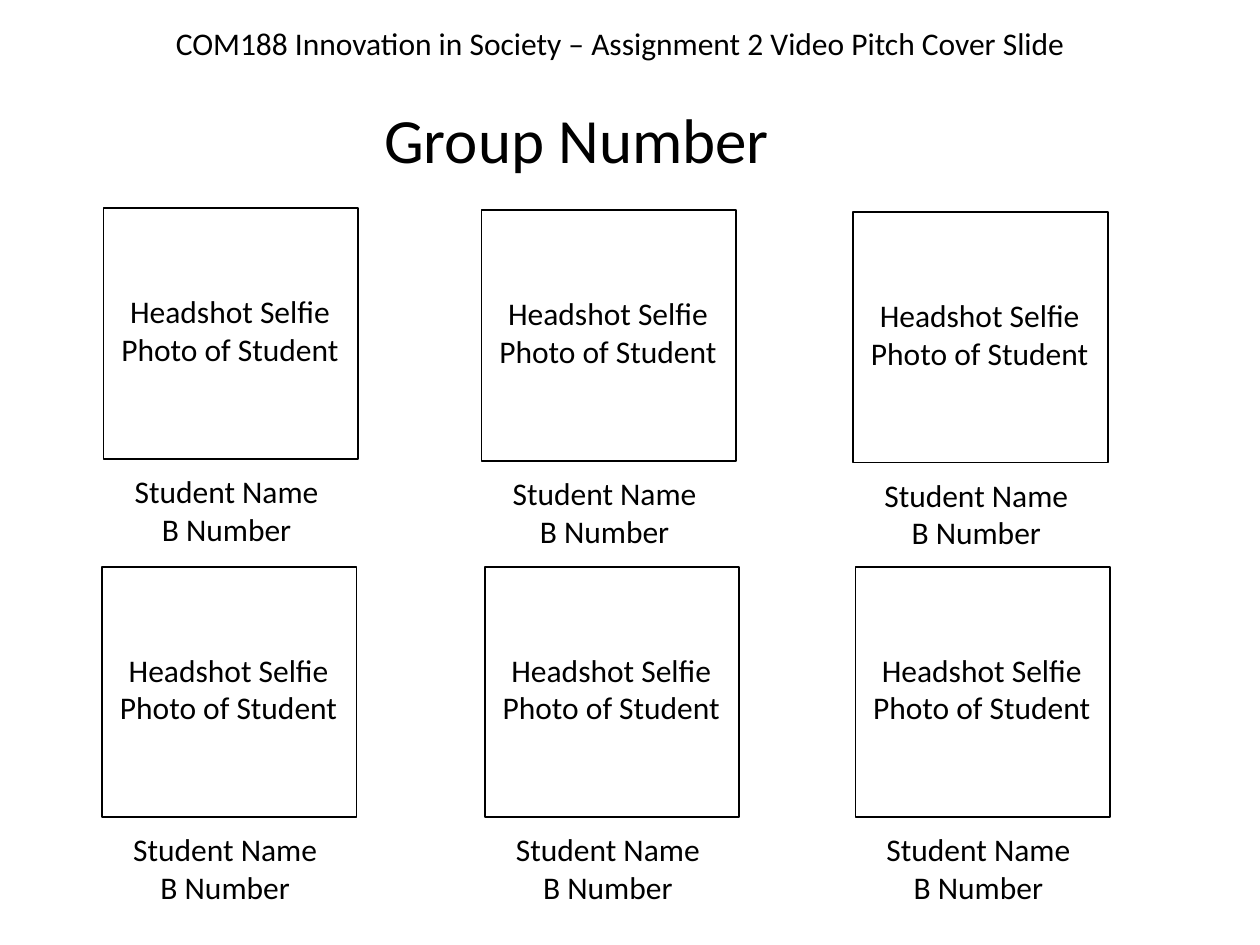
"""Build the video pitch cover slide with six student cards."""
from dataclasses import dataclass
from typing import Any

import pptx
import pptx.dml.color
import pptx.enum.shapes
import pptx.enum.text
import pptx.util

Pt = pptx.util.Pt
Align = pptx.enum.text.PP_ALIGN


@dataclass(frozen=True)
class Theme:
    font: str = "Calibri"
    ink: pptx.dml.color.RGBColor = pptx.dml.color.RGBColor(0, 0, 0)
    head: float = 36
    body: float = 18
    line: float = 1


@dataclass(frozen=True)
class Box:
    left: float
    top: float
    width: float
    height: float

    def inset(self, right: float, down: float, width: float, height: float) -> "Box":
        return Box(self.left + right, self.top + down, width, height)

    def pts(self) -> tuple:
        return Pt(self.left), Pt(self.top), Pt(self.width), Pt(self.height)


THEME = Theme()
SIDE, TALL = 145.4, 143.3
PHOTO = ("Headshot Selfie", "Photo of Student")
NAME = ("Student Name", "B Number")
CARDS = [
    Box(left, top, SIDE, TALL)
    for left, top in (
        (59.2, 118.9), (275.2, 120), (487.6, 121),
        (58.4, 323.8), (277.1, 323.8), (488.8, 323.8),
    )
]


def write(shape: Any, lines: tuple[str, ...], size: float, align: Align) -> None:
    frame = shape.text_frame
    frame.word_wrap = False
    frame.auto_size = pptx.enum.text.MSO_AUTO_SIZE.SHAPE_TO_FIT_TEXT
    frame.vertical_anchor = pptx.enum.text.MSO_ANCHOR.TOP
    for rank, line in enumerate(lines):
        para = frame.add_paragraph() if rank else frame.paragraphs[0]
        para.alignment = align
        run = para.add_run()
        run.text = line
        run.font.name = THEME.font
        run.font.size = Pt(size)
        run.font.color.rgb = THEME.ink


def label(slide: Any, box: Box, lines: tuple[str, ...], align: Align = Align.CENTER) -> None:
    write(slide.shapes.add_textbox(*box.pts()), lines, THEME.body, align)


def card(slide: Any, box: Box) -> None:
    rect = slide.shapes.add_shape(pptx.enum.shapes.MSO_SHAPE.RECTANGLE, *box.pts())
    rect.shadow.inherit = False
    rect.fill.background()
    rect.line.color.rgb = THEME.ink
    rect.line.width = Pt(THEME.line)
    label(slide, box.inset(9.8, 147.2, 121, 50.9), NAME)
    label(slide, box.inset(2, 44.5, 140.4, 50.9), PHOTO)


def main() -> None:
    deck = pptx.Presentation()
    deck.slide_width, deck.slide_height = Pt(720), Pt(540)
    slide = deck.slides.add_slide(deck.slide_layouts[5])
    title = slide.shapes.title
    title.left, title.top, title.width, title.height = Box(212.4, 54, 236.2, 50.9).pts()
    write(title, ("Group Number",), THEME.head, Align.LEFT)
    head = "COM188 Innovation in Society – Assignment 2 Video Pitch Cover Slide"
    label(slide, Box(93.4, 10.2, 528.5, 29.1), (head,), Align.LEFT)
    for box in CARDS:
        card(slide, box)
    deck.save("out.pptx")


if __name__ == "__main__":
    main()
